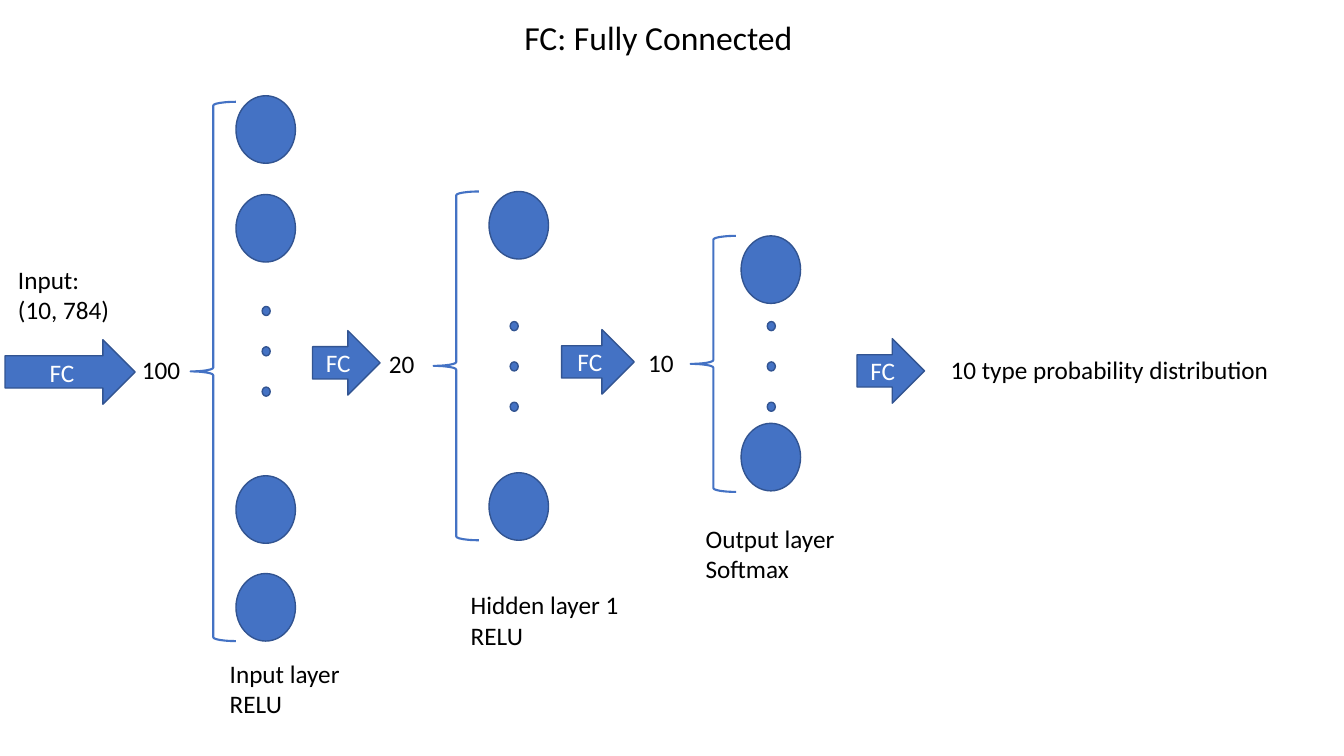
"""Build a slide showing a fully connected network with three layers."""
from pptx import Presentation
from pptx.dml.color import RGBColor
from pptx.enum.shapes import MSO_SHAPE
from pptx.enum.text import MSO_ANCHOR, MSO_AUTO_SIZE, PP_ALIGN
from pptx.util import Inches, Pt

OVAL, ARROW, BRACE = MSO_SHAPE.OVAL, MSO_SHAPE.RIGHT_ARROW, MSO_SHAPE.LEFT_BRACE
TOP, MIDDLE = MSO_ANCHOR.TOP, MSO_ANCHOR.MIDDLE
LEFT, CENTER = PP_ALIGN.LEFT, PP_ALIGN.CENTER
NO_AUTOFIT = MSO_AUTO_SIZE.NONE

COLORS = {"blue": "4472C4", "edge": "325491", "text": "000000", "light": "FFFFFF"}
FONT = "Calibri"
NODE_W, NODE_H = 0.59, 0.67
DOT_W, DOT_H, DOT_STEP = 0.08, 0.09, 0.4
BRACE_W, ARROW_H = 0.45, 0.64

LAYERS = [
    {"node_x": 2.34, "node_ys": [0.95, 1.93, 4.72, 5.69], "dots": (2.6, 3.04),
     "brace": (1.89, 1.01, 5.35), "count": ("100", 1.31, 3.47),
     "label": (["Input layer", "RELU"], 2.18, 6.48)},
    {"node_x": 4.85, "node_ys": [1.9, 4.69], "dots": (5.06, 3.19),
     "brace": (4.3, 1.9, 3.46), "count": ("20", 3.76, 3.41),
     "label": (["Hidden layer 1", "RELU"], 4.57, 5.8)},
    {"node_x": 7.35, "node_ys": [2.34, 4.2], "dots": (7.61, 3.19),
     "brace": (6.85, 2.34, 2.54), "count": ("10", 6.33, 3.4),
     "label": (["Output layer", "Softmax"], 6.9, 5.14)},
]
ARROWS = [(0.05, 3.37, 1.29), (3.1, 3.28, 0.67), (5.57, 3.27, 0.72), (8.5, 3.36, 0.67)]


class Diagram:
    """Holds the slide and draws the styled elements of the network."""

    def __init__(self, slide):
        self.s = slide

    def color(self, name):
        return RGBColor.from_string(COLORS[name])

    def add_lines(self, tf, lines, size=18, color="text", align=LEFT, anchor=TOP):
        tf.word_wrap = True
        tf.auto_size = NO_AUTOFIT
        tf.vertical_anchor = anchor
        for i, line in enumerate(lines):
            p = tf.add_paragraph() if i else tf.paragraphs[0]
            p.alignment = align
            r = p.add_run()
            r.text = line
            r.font.name = FONT
            r.font.size = Pt(size)
            r.font.color.rgb = self.color(color)

    def title(self, text, x, y, w, h):
        sp = self.s.shapes.title
        sp.left, sp.top, sp.width, sp.height = map(Inches, (x, y, w, h))
        self.add_lines(sp.text_frame, [text], size=24)

    def text(self, lines, x, y, w, h):
        sp = self.s.shapes.add_textbox(*map(Inches, (x, y, w, h)))
        self.add_lines(sp.text_frame, lines)

    def shape(self, kind, x, y, w, h, line="edge", width=1):
        sp = self.s.shapes.add_shape(kind, *map(Inches, (x, y, w, h)))
        sp.shadow.inherit = False
        sp.fill.solid()
        sp.fill.fore_color.rgb = self.color("blue")
        sp.line.color.rgb = self.color(line)
        sp.line.width = Pt(width)
        return sp

    def arrow(self, x, y, w):
        sp = self.shape(ARROW, x, y, w, ARROW_H)
        self.add_lines(sp.text_frame, ["FC"], color="light", align=CENTER, anchor=MIDDLE)

    def brace(self, x, y, h):
        sp = self.shape(BRACE, x, y, BRACE_W, h, line="blue", width=1.5)
        sp.fill.background()

    def layer(self, node_x, node_ys, dots, brace, count, label):
        for y in node_ys:
            self.shape(OVAL, node_x, y, NODE_W, NODE_H)
        dot_x, dot_y = dots
        for i in range(3):
            self.shape(OVAL, dot_x, dot_y + i * DOT_STEP, DOT_W, DOT_H)
        self.brace(*brace)
        number, x, y = count
        self.text([number], x, y, 0.67, 0.41)
        self.text(*label, 1.98, 0.71)


def main():
    prs = Presentation()
    prs.slide_width, prs.slide_height = Inches(13.33), Inches(7.5)
    d = Diagram(prs.slides.add_slide(prs.slide_layouts[5]))
    d.title("FC: Fully Connected", 5.1, 0.12, 4.33, 0.5)
    d.text(["Input:", "(10, 784)"], 0.08, 2.57, 1.68, 0.71)
    for layer in LAYERS:
        d.layer(**layer)
    for arrow in ARROWS:
        d.arrow(*arrow)
    d.text(["10 type probability distribution"], 9.33, 3.47, 3.45, 0.4)
    prs.save("out.pptx")


if __name__ == "__main__":
    main()
